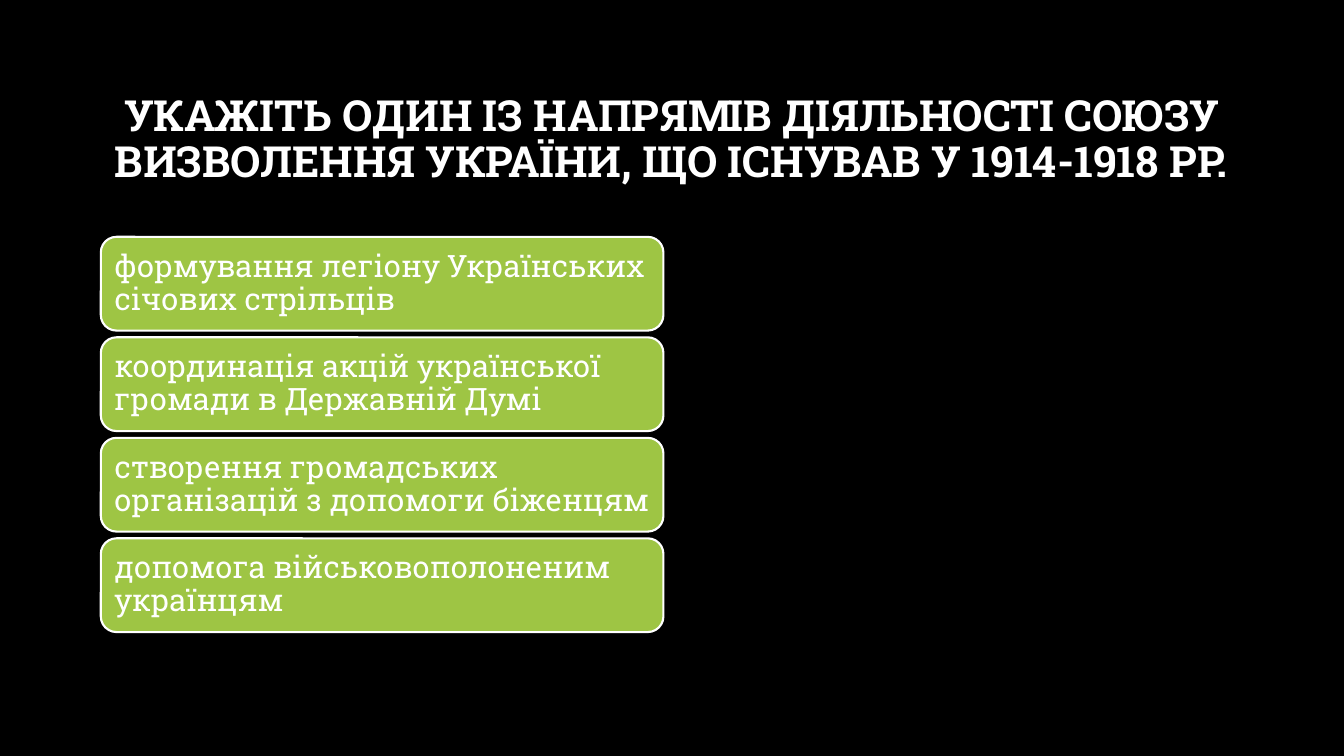
from dataclasses import dataclass

from pptx import Presentation
from pptx.dml.color import RGBColor
from pptx.enum.shapes import MSO_SHAPE
from pptx.enum.text import MSO_ANCHOR, MSO_AUTO_SIZE, PP_ALIGN
from pptx.slide import Slide
from pptx.text.text import TextFrame
from pptx.util import Inches, Pt


@dataclass(frozen=True)
class Theme:
    font: str = "Roboto Slab"
    background: RGBColor = RGBColor(0x00, 0x00, 0x00)
    text: RGBColor = RGBColor(0xFF, 0xFF, 0xFF)
    card: RGBColor = RGBColor(0x9E, 0xC5, 0x44)
    title_size: float = 30.6
    answer_size: float = 22
    outline: float = 1.5


@dataclass(frozen=True)
class Answer:
    text: str
    top: float


THEME = Theme()
LEFT = 1.0
CARD_WIDTH, CARD_HEIGHT = 5.58, 0.93
FIRST_TOP, CARD_STEP = 2.35, 0.997

QUESTION = (
    "УКАЖІТЬ ОДИН ІЗ НАПРЯМІВ ДІЯЛЬНОСТІ СОЮЗУ "
    "ВИЗВОЛЕННЯ УКРАЇНИ, ЩО ІСНУВАВ У 1914-1918 РР."
)
ANSWERS = [
    Answer(text, FIRST_TOP + row * CARD_STEP)
    for row, text in enumerate([
        "формування легіону Українських січових стрільців",
        "координація акцій української громади в Державній Думі",
        "створення громадських організацій з допомоги біженцям",
        "допомога військовополоненим українцям",
    ])
]


def apply_format(target: object, values: dict[str, object]) -> None:
    for name, value in values.items():
        setattr(target, name, value)


def write_text(frame: TextFrame, text: str, size: float, bold: bool,
               paragraph_format: dict[str, object]) -> None:
    apply_format(frame, {
        "word_wrap": True,
        "auto_size": MSO_AUTO_SIZE.NONE,
        "vertical_anchor": MSO_ANCHOR.MIDDLE,
    })
    paragraph = frame.paragraphs[0]
    apply_format(paragraph, {"line_spacing": 0.9, **paragraph_format})
    run = paragraph.add_run()
    run.text = text
    apply_format(run.font, {"name": THEME.font, "size": Pt(size), "bold": bold})
    run.font.color.rgb = THEME.text


def add_question(slide: Slide) -> None:
    title = slide.shapes.title
    apply_format(title, {
        "left": Inches(LEFT), "top": Inches(0.67),
        "width": Inches(11.32), "height": Inches(1.45),
    })
    write_text(title.text_frame, QUESTION, THEME.title_size, True,
               {"alignment": PP_ALIGN.CENTER})


def add_answer(slide: Slide, answer: Answer) -> None:
    card = slide.shapes.add_shape(
        MSO_SHAPE.ROUNDED_RECTANGLE, Inches(LEFT), Inches(answer.top),
        Inches(CARD_WIDTH), Inches(CARD_HEIGHT))
    card.shadow.inherit = False
    card.fill.solid()
    card.fill.fore_color.rgb = THEME.card
    card.line.color.rgb = THEME.text
    card.line.width = Pt(THEME.outline)
    sides = ("left", "top", "right", "bottom")
    apply_format(card.text_frame, {f"margin_{side}": Inches(0.09) for side in sides})
    write_text(card.text_frame, answer.text, THEME.answer_size, False, {
        "alignment": PP_ALIGN.LEFT,
        "space_after": Pt(0.35 * THEME.answer_size),
    })


def main() -> None:
    presentation = Presentation()
    presentation.slide_width = Inches(13.33)
    presentation.slide_height = Inches(7.5)

    # Title-only slide on a black background
    slide = presentation.slides.add_slide(presentation.slide_layouts[5])
    slide.background.fill.solid()
    slide.background.fill.fore_color.rgb = THEME.background

    # Question and its answer cards
    add_question(slide)
    for answer in ANSWERS:
        add_answer(slide, answer)

    presentation.save("out.pptx")


if __name__ == "__main__":
    main()
